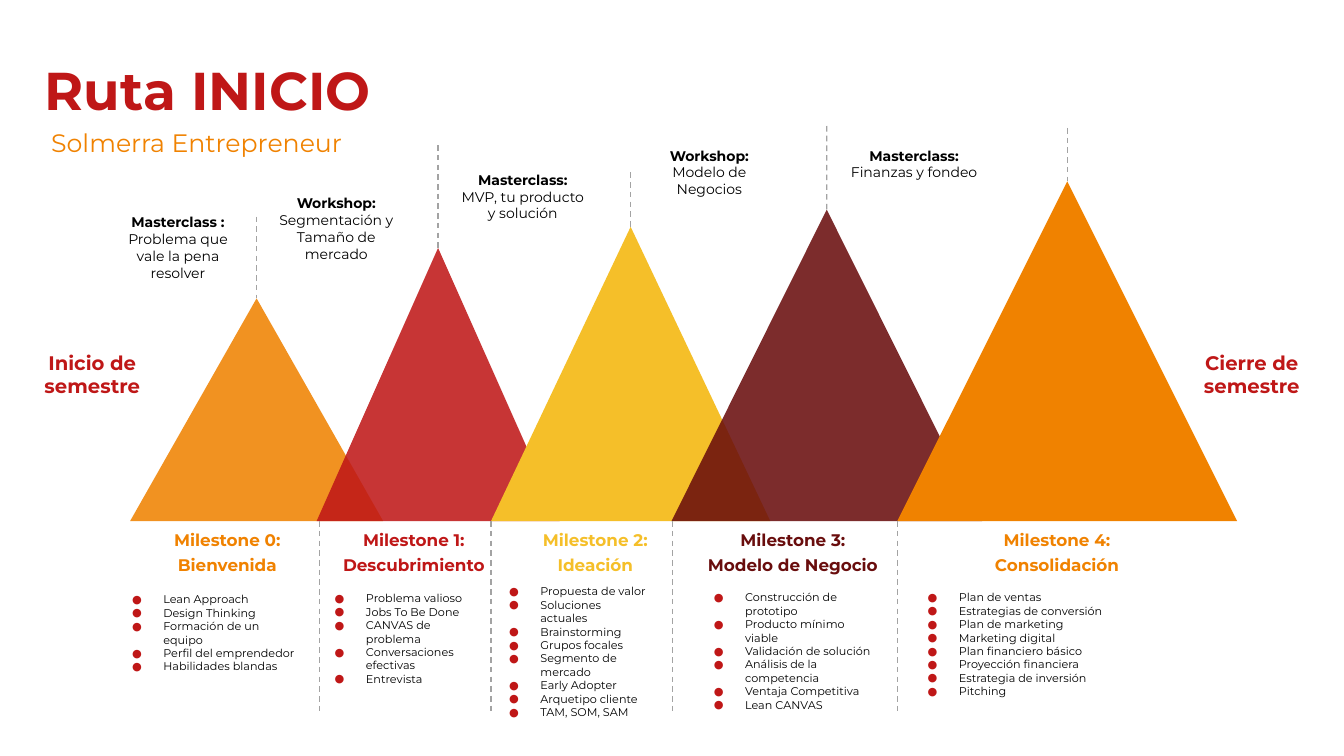
from dataclasses import dataclass

from pptx import Presentation
from pptx.dml.color import RGBColor
from pptx.enum.dml import MSO_LINE
from pptx.enum.shapes import MSO_CONNECTOR, MSO_SHAPE
from pptx.enum.text import MSO_ANCHOR, MSO_AUTO_SIZE, PP_ALIGN
from pptx.oxml.ns import qn
from pptx.util import Inches, Pt
from lxml.etree import SubElement


@dataclass(frozen=True)
class Theme:
    """Colours, type sizes and insets of the slide."""
    font: str = "Montserrat"
    orange: str = "F08200"
    red: str = "BF1717"
    yellow: str = "F5BF29"
    wine: str = "690D0D"
    black: str = "000000"
    grey: str = "A3A3A3"
    title: int = 38
    subtitle: int = 18
    edge: int = 14
    milestone: int = 12
    talk: int = 10
    item: int = 8
    tight: tuple = (0.1, 0.05)
    loose: tuple = (0.13, 0.07)


T = Theme()
BASE = 5.17
DIVIDER_HEIGHT = 1.89
DIVIDERS = [3.17, 4.87, 6.67, 8.9]

PEAKS = [
    dict(box=(1.29, 2.96, 2.51), color=T.orange, alpha=87, line_top=2.15, talk_at=(0.99, 2.05, 0.81),
         kind="Masterclass :", topic="Problema que vale la pena resolver"),
    dict(box=(3.14, 2.46, 2.41), color=T.red, alpha=87, line_top=1.44, talk_at=(2.56, 1.86, 0.81),
         kind="Workshop:", topic="Segmentación y Tamaño de mercado"),
    dict(box=(4.87, 2.25, 2.77), color=T.yellow, alpha=100, line_top=1.71, talk_at=(4.41, 1.63, 0.64),
         kind="Masterclass:", topic="MVP, tu producto y solución"),
    dict(box=(6.66, 2.08, 3.08), color=T.wine, alpha=87, line_top=1.25, talk_at=(6.26, 1.39, 0.64),
         kind="Workshop:", topic="Modelo de Negocios"),
    dict(box=(8.9, 1.8, 3.37), color=T.orange, alpha=100, line_top=1.27, talk_at=(8.29, 1.39, 0.47),
         kind="Masterclass:", topic="Finanzas y fondeo"),
]

MILESTONES = [
    (1.22, T.orange, "Milestone 0:\vBienvenida", (0.99, 5.81, 2.07, 0.94),
     ["Lean Approach", "Design Thinking", "Formación de un equipo",
      "Perfil del emprendedor", "Habilidades blandas"]),
    (3.07, T.red, "Milestone 1: Descubrimiento", (3, 5.8, 1.84, 1.08),
     ["Problema valioso", "Jobs To Be Done", "CANVAS de problema",
      "Conversaciones efectivas", "Entrevista"]),
    (4.87, T.yellow, "Milestone 2:\vIdeación", (4.73, 5.73, 1.84, 1.48),
     ["Propuesta de valor", "Soluciones actuales", "Brainstorming", "Grupos focales",
      "Segmento de mercado", "Early Adopter", "Arquetipo cliente", "TAM, SOM, SAM"]),
    (6.83, T.wine, "Milestone 3:\vModelo de Negocio", (6.76, 5.79, 2.02, 1.35),
     ["Construcción de prototipo", "Producto mínimo viable", "Validación de solución",
      "Análisis de la competencia", "Ventaja Competitiva", "Lean CANVAS"]),
    (9.45, T.orange, "Milestone 4:\vConsolidación", (8.88, 5.79, 2.55, 1.21),
     ["Plan de ventas", "Estrategias de conversión", "Plan de marketing", "Marketing digital",
      "Plan financiero básico", "Proyección financiera", "Estrategia de inversión", "Pitching"]),
]


def write(p, text, size, color, bold=False, align=PP_ALIGN.CENTER):
    """Fill a paragraph with text in one format."""
    p.text = text
    p.alignment = align
    for r in p.runs:
        for name, value in dict(name=T.font, size=Pt(size), bold=bold).items():
            setattr(r.font, name, value)
        r.font.color.rgb = RGBColor.from_string(color)


def frame(shape, inset, auto_size=MSO_AUTO_SIZE.SHAPE_TO_FIT_TEXT):
    """Set the text frame of a shape and return it."""
    tf = shape.text_frame
    side, end = map(Inches, inset)
    for name, value in dict(margin_left=side, margin_right=side, margin_top=end, margin_bottom=end,
                            word_wrap=True, auto_size=auto_size,
                            vertical_anchor=MSO_ANCHOR.TOP).items():
        setattr(tf, name, value)
    return tf


def text_box(s, box, inset):
    """Add a wrapping text box and return its text frame."""
    return frame(s.shapes.add_textbox(*map(Inches, box)), inset)


def dashed_line(s, x, top, bottom):
    """Add a vertical dashed line and return it."""
    line = s.shapes.add_connector(MSO_CONNECTOR.STRAIGHT, *map(Inches, (x, top, x, bottom)))
    line.line.color.rgb = RGBColor.from_string(T.grey)
    line.line.width = Pt(1)
    line.line.dash_style = MSO_LINE.DASH
    SubElement(line._element.spPr, qn("a:effectLst"))
    return line


def header(s, x, y):
    """Place the title and the subtitle."""
    title = s.shapes.title
    for name, value in dict(left=x, top=y, width=3.76, height=0.72).items():
        setattr(title, name, Inches(value))
    tf = frame(title, T.tight, MSO_AUTO_SIZE.NONE)
    write(tf.paragraphs[0], "Ruta INICIO", T.title, T.red, True, PP_ALIGN.LEFT)
    tf = text_box(s, (x + 0.07, y + 0.69, 3.76, 0.4), T.tight)
    write(tf.paragraphs[0], "Solmerra Entrepreneur", T.subtitle, T.orange, align=PP_ALIGN.LEFT)


def edge_label(s, x, text):
    """Place a label at one end of the route."""
    tf = text_box(s, (x, 3.41, 1.55, 0.61), T.loose)
    write(tf.paragraphs[0], text, T.edge, T.red, True)


def peak(s, box, color, alpha, line_top, talk_at, kind, topic):
    """Place a mountain on the base line with its marker and talk."""
    x, y, w = box
    mountain = s.shapes.add_shape(MSO_SHAPE.ISOSCELES_TRIANGLE, *map(Inches, (x, y, w, BASE - y)))
    mountain.shadow.inherit = False
    mountain.fill.solid()
    mountain.fill.fore_color.rgb = RGBColor.from_string(color)
    mountain.line.fill.background()
    if alpha < 100:
        clr = mountain._element.spPr.find(".//" + qn("a:srgbClr"))
        SubElement(clr, qn("a:alpha"), val=str(alpha * 1000))
    dashed_line(s, x + w / 2, line_top, y).end_connect(mountain, 0)
    left, top, height = talk_at
    tf = text_box(s, (left, top, 1.55, height), T.loose)
    write(tf.paragraphs[0], kind, T.talk, T.black, True)
    write(tf.add_paragraph(), topic, T.talk, T.black)


def bullet(p):
    """Give a paragraph a red hanging bullet."""
    pPr = p._p.get_or_add_pPr()
    pPr.set("marL", str(Inches(0.5)))
    pPr.set("indent", str(Inches(-0.31)))
    SubElement(SubElement(pPr, qn("a:buClr")), qn("a:srgbClr"), val=T.red)
    SubElement(pPr, qn("a:buFont"), typeface=T.font)
    SubElement(pPr, qn("a:buChar"), char="●")


def milestone(s, x, color, name, list_box, items):
    """Place a milestone heading and its bullet list."""
    p = text_box(s, (x, BASE, 2.07, 0.55), T.tight).paragraphs[0]
    write(p, name, T.milestone, color, True)
    p.line_spacing = 1.2
    tf = text_box(s, list_box, T.loose)
    for i, item in enumerate(items):
        p = tf.add_paragraph() if i else tf.paragraphs[0]
        write(p, item, T.item, T.black, align=PP_ALIGN.LEFT)
        bullet(p)


def main():
    """Build the route slide and save it."""
    prs = Presentation()
    prs.slide_width, prs.slide_height = Inches(13.33), Inches(7.5)
    s = prs.slides.add_slide(prs.slide_layouts[5])
    header(s, 0.34, 0.52)
    for spec_of_peak in PEAKS:
        peak(s, **spec_of_peak)
    for x, text in ((0.14, "Inicio de semestre"), (11.64, "Cierre de semestre")):
        edge_label(s, x, text)
    for x in DIVIDERS:
        dashed_line(s, x, BASE, BASE + DIVIDER_HEIGHT)
    for column in MILESTONES:
        milestone(s, *column)
    prs.save("out.pptx")


if __name__ == "__main__":
    main()
